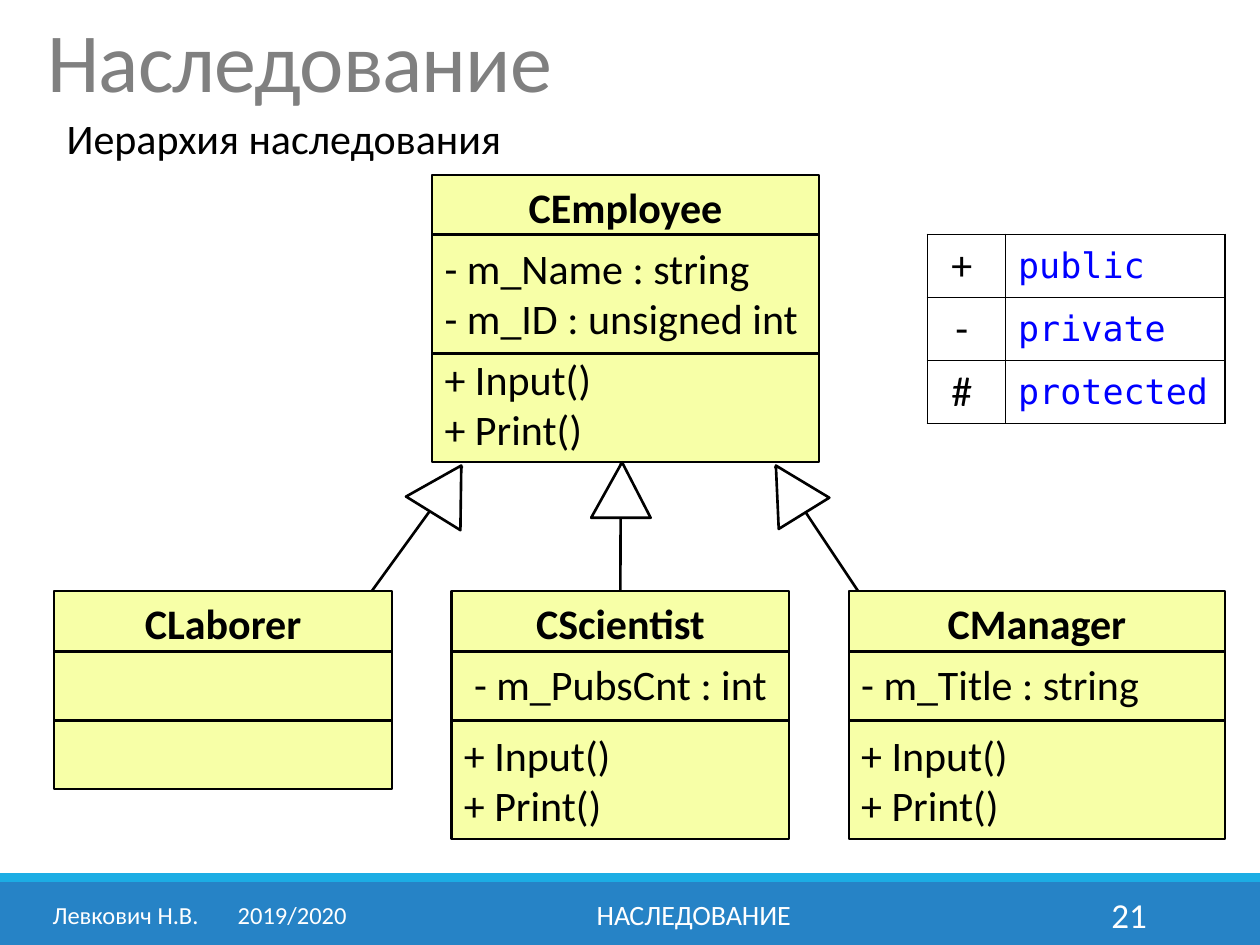
import math
from dataclasses import dataclass

import lxml.etree
import pptx
import pptx.dml.color
import pptx.enum.shapes
import pptx.enum.text
import pptx.oxml
import pptx.oxml.ns
import pptx.util

Pt = pptx.util.Pt
Align = pptx.enum.text.PP_ALIGN
Anchor = pptx.enum.text.MSO_ANCHOR
Shape = pptx.enum.shapes.MSO_SHAPE
qn = pptx.oxml.ns.qn
LEFT, MID, RIGHT = Align.LEFT, Align.CENTER, Align.RIGHT


@dataclass(frozen=True)
class Theme:
    """Hold the colours, fonts and type sizes of the slide."""
    ink: str = "000000"
    paper: str = "FFFFFF"
    grey: str = "808080"
    card: str = "F7FFA7"
    code: str = "0000FF"
    bar: str = "2683C6"
    strip: str = "1CADE4"
    sans: str = "Calibri"
    mono: str = "DejaVu Sans Mono"
    head: int = 48
    body: int = 24
    key: int = 20
    foot: int = 16
    small: int = 14
    edge: float = 1.25
    rule: float = 1.5
    grid: float = 1


T = Theme()


def tint(code):
    """Turn a hex code into a colour."""
    return pptx.dml.color.RGBColor.from_string(code)


def write(para, text, size=T.body, color=T.ink, face=T.sans, bold=False, align=LEFT):
    """Add one styled run to a paragraph and return the run."""
    para.alignment = align
    run = para.add_run()
    run.text = text
    font = run.font
    font.size, font.name, font.bold = Pt(size), face, bold
    font.color.rgb = tint(color)
    return run


def label(slide, box, text, anchor=Anchor.TOP, **style):
    """Place a text box with one line and return its paragraph and run."""
    frame = slide.shapes.add_textbox(*map(Pt, box)).text_frame
    frame.word_wrap = True
    frame.vertical_anchor = anchor
    para = frame.paragraphs[0]
    return para, write(para, text, **style)


def block(slide, kind, box, fill, width=0):
    """Place a filled shape, outlined when a line width is given."""
    shape = slide.shapes.add_shape(kind, *map(Pt, box))
    shape.shadow.inherit = False
    shape.fill.solid()
    shape.fill.fore_color.rgb = tint(fill)
    if width:
        shape.line.color.rgb = tint(T.ink)
        shape.line.width = Pt(width)
    else:
        shape.line.fill.background()
    return shape


def stroke(slide, start, end):
    """Draw a straight black line between two points."""
    kind = pptx.enum.shapes.MSO_CONNECTOR.STRAIGHT
    line = slide.shapes.add_connector(kind, *map(Pt, (*start, *end)))
    line.line.color.rgb = tint(T.ink)
    line.line.width = Pt(T.rule)
    lxml.etree.SubElement(line._element.spPr, qn("a:effectLst"))
    return line


def draw_class(slide, box, cuts, name, rows=()):
    """Draw a class card with its name, dividers and member rows."""
    left, top, width, _ = box
    card = block(slide, Shape.RECTANGLE, box, T.card, T.edge)
    frame = card.text_frame
    frame.word_wrap = True
    frame.vertical_anchor = Anchor.TOP
    write(frame.paragraphs[0], name, bold=True, align=MID)
    for text, gap, align in rows:
        para = frame.add_paragraph()
        para.space_before = Pt(gap)
        write(para, text, align=align)
    for cut in cuts:
        stroke(slide, (left, top + cut), (left + width, top + cut))
    return card


def draw_arrow(slide, tail, tip, width, tilt, peak):
    """Draw an inheritance arrow with a hollow triangle at its tip."""
    high = 31.7
    line = stroke(slide, tail, tip)
    turn = math.radians(tilt)
    left = tip[0] - high / 2 * math.sin(turn) - width / 2
    top = tip[1] + high / 2 * math.cos(turn) - high / 2
    head = block(slide, Shape.ISOSCELES_TRIANGLE, (left, top, width, high), T.paper, T.rule)
    head.adjustments[0] = peak
    head.rotation = tilt
    return line


def draw_tree(slide, left, top, base):
    """Draw the parent class, its three children and the arrows."""
    parent = [("- m_Name : string", 6, LEFT), ("- m_ID : unsigned int", 0, LEFT),
              ("+ Input()", 6, LEFT), ("+ Print()", 0, LEFT)]
    calls = [("+ Input()", 12, LEFT), ("+ Print()", 0, LEFT)]
    kids = [("CLaborer", 193, 113, []),
            ("CScientist", 193, 142, [("- m_PubsCnt : int", 6, MID), *calls]),
            ("CManager", 215, 142, [("- m_Title : string", 6, LEFT), *calls])]
    draw_class(slide, (left + 216, top, 221, 164), (34, 102), "CEmployee", parent)
    cards = []
    for name, width, high, rows in kids:
        cards.append(draw_class(slide, (left, base, width, high), (34.5, 74), name, rows))
        left += width + 34
    draw_arrow(slide, (212.5, base), (264.2, 266.4), 36.5, 31.7, 0.48)
    draw_arrow(slide, (490.3, base), (442.8, 266.4), 34, -31.7, 0.52)
    stem = draw_arrow(slide, (354.5, base), (354.8, 264.2), 34, 0, 0.52)
    stem.begin_connect(cards[1], 0)


def border(cell):
    """Give a table cell thin black borders and no fill."""
    cell.fill.background()
    props = cell._tc.get_or_add_tcPr()
    space = pptx.oxml.ns.nsdecls("a")
    for spot, side in enumerate("LRTB"):
        props.insert(spot, pptx.oxml.parse_xml(
            f'<a:ln{side} {space} w="{Pt(T.grid)}"><a:solidFill>'
            f'<a:srgbClr val="{T.ink}"/></a:solidFill></a:ln{side}>'))


def draw_key(slide, box):
    """Draw the table that explains the access marks."""
    rows = [("+ ", "public"), ("- ", "private"), ("# ", "protected")]
    table = slide.shapes.add_table(len(rows), 2, *map(Pt, box)).table
    table.first_row = table.horz_banding = False
    table.columns[0].width = Pt(44.6)
    table.columns[1].width = Pt(box[2] - 44.6)
    styles = (dict(align=MID), dict(size=T.key, color=T.code, face=T.mono))
    for row, texts in enumerate(rows):
        for col, text in enumerate(texts):
            cell = table.cell(row, col)
            cell.vertical_anchor = Anchor.MIDDLE
            border(cell)
            write(cell.text_frame.paragraphs[0], text, **styles[col])


def draw_head(slide, box):
    """Write the title and the line below it."""
    left, top, width, high = box
    para, run = label(slide, box, "Наследование", Anchor.MIDDLE, size=T.head, color=T.grey)
    para.line_spacing = 0.85
    run._r.get_or_add_rPr().set("spc", "-50")
    label(slide, (left + 11, top + 51, 266, 36), "Иерархия наследования")


def draw_foot(slide, box):
    """Draw the footer bar with author, topic and page number."""
    left, top, width, high = box
    block(slide, Shape.RECTANGLE, box, T.bar)
    block(slide, Shape.RECTANGLE, (left, top - 5, width, 5), T.strip)
    parts = [("Левкович Н.В.\t2019/2020", 23, 188, T.small, LEFT),
             ("НАСЛЕДОВАНИЕ", 217.5, 358, T.foot, MID),
             ("21", 584.5, 78, T.key, RIGHT)]
    for text, shift, wide, size, align in parts:
        para, _ = label(slide, (left + shift, top + 4.3, wide, 28.8), text, Anchor.MIDDLE,
                        size=size, color=T.paper, align=align)
        if "\t" in text:
            tabs = lxml.etree.SubElement(para._p.get_or_add_pPr(), qn("a:tabLst"))
            lxml.etree.SubElement(tabs, qn("a:tab"), pos=str(Pt(105.8)), algn="l")


def main():
    """Build the slide and save it."""
    deck = pptx.Presentation()
    deck.slide_width, deck.slide_height = Pt(720), Pt(540)
    slide = deck.slides.add_slide(deck.slide_layouts[6])
    draw_foot(slide, (0, 504, 720, 36))
    draw_head(slide, (20, 9.5, 680, 57))
    draw_tree(slide, 31, 100, 337.7)
    draw_key(slide, (530, 134, 170, 108))
    deck.save("out.pptx")


if __name__ == "__main__":
    main()
